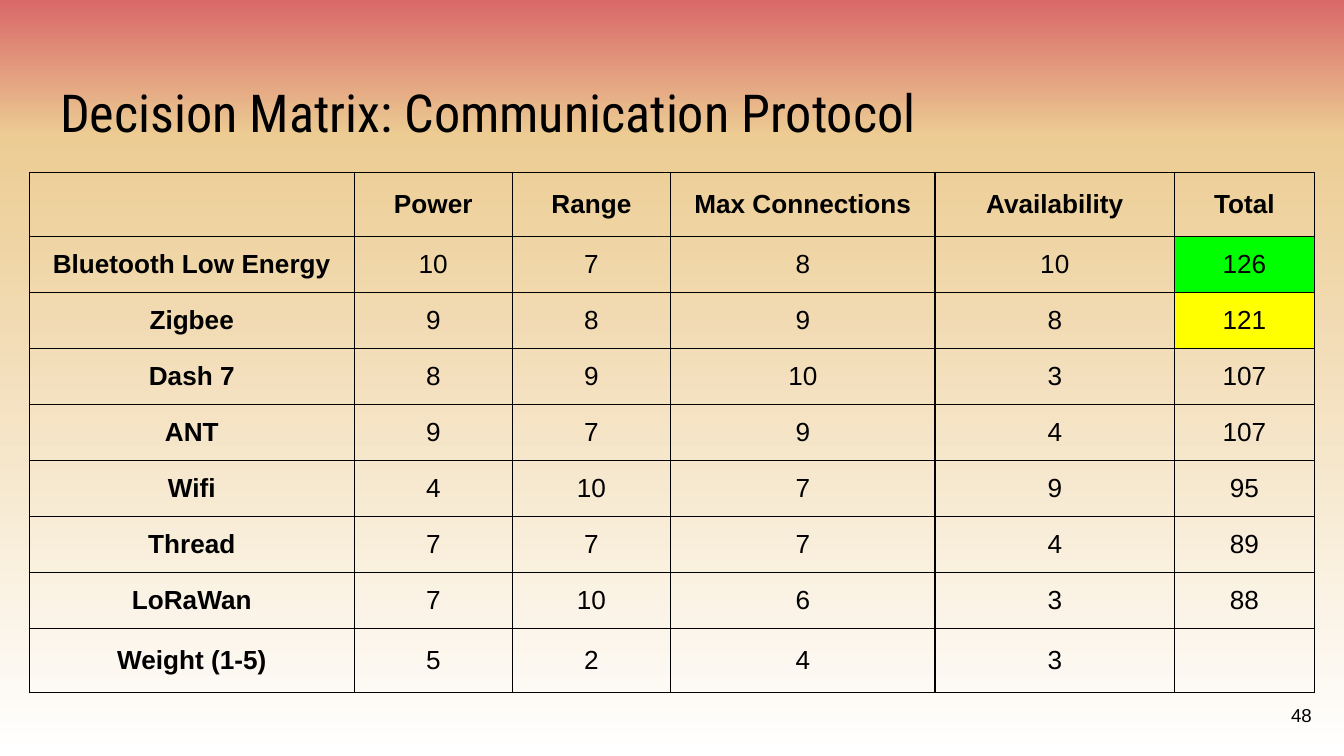
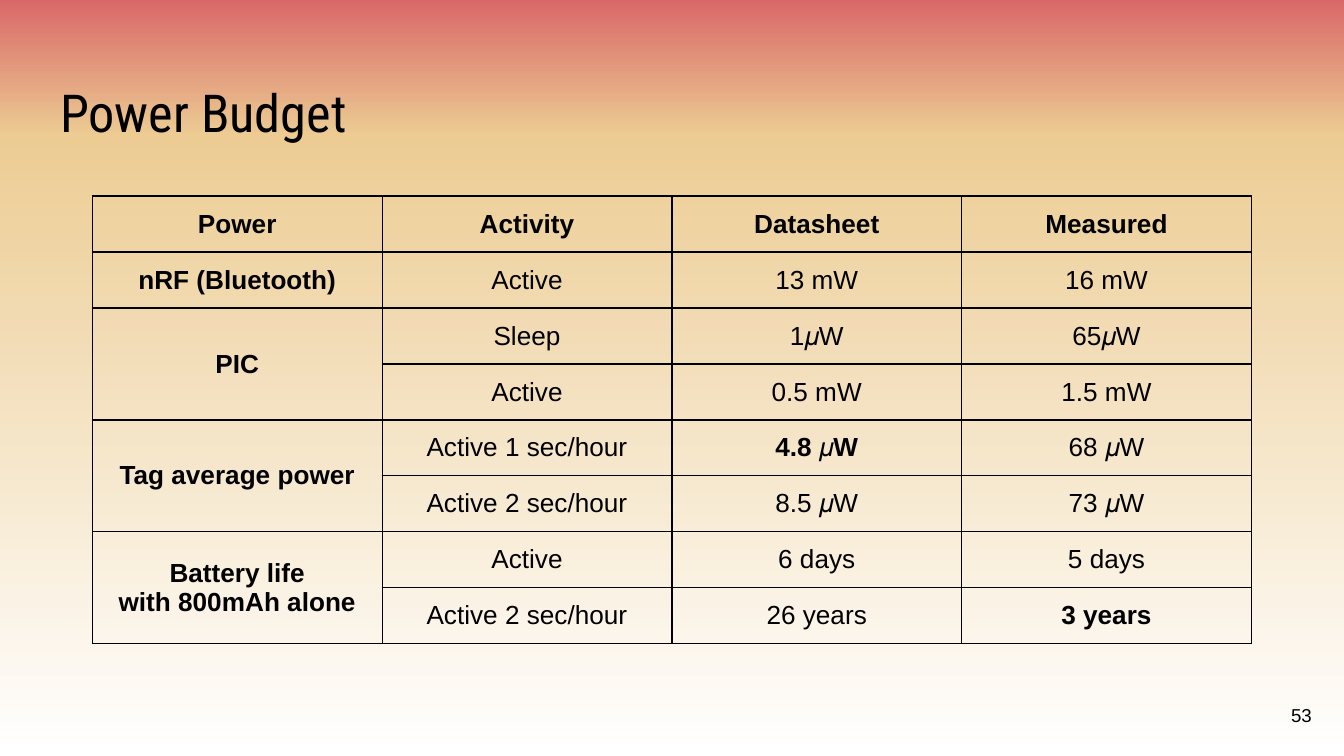
"""Build a decision matrix slide and a power budget slide."""
from lxml.etree import SubElement
from pptx import Presentation
from pptx.dml.color import RGBColor
from pptx.enum.text import MSO_ANCHOR, PP_ALIGN
from pptx.oxml.ns import qn
from pptx.util import Pt

PX = 9525
BLACK = RGBColor(0x00, 0x00, 0x00)
GREEN = RGBColor(0x00, 0xFF, 0x00)
YELLOW = RGBColor(0xFF, 0xFF, 0x00)
SKY = [
    (0, RGBColor(0xD9, 0x68, 0x68)),
    (18, RGBColor(0xEC, 0xCC, 0x93)),
    (100, RGBColor(0xFF, 0xFF, 0xFF)),
]

SLIDES = [
    {
        "title": "Decision Matrix: Communication Protocol",
        "number": "48",
        "corner": (21, 123),
        "columns": [232, 113, 113, 189, 171, 100],
        "heights": [46] + [40] * 7 + [46],
        "rows": [
            ["", "Power", "Range", "Max Connections", "Availability", "Total"],
            ["Bluetooth Low Energy", "10", "7", "8", "10", "126"],
            ["Zigbee", "9", "8", "9", "8", "121"],
            ["Dash 7", "8", "9", "10", "3", "107"],
            ["ANT", "9", "7", "9", "4", "107"],
            ["Wifi", "4", "10", "7", "9", "95"],
            ["Thread", "7", "7", "7", "4", "89"],
            ["LoRaWan", "7", "10", "6", "3", "88"],
            ["Weight (1-5)", "5", "2", "4", "3", ""],
        ],
        "fills": {(1, 5): GREEN, (2, 5): YELLOW},
        "bold": [],
    },
    {
        "title": "Power Budget",
        "number": "53",
        "corner": (66, 140),
        "columns": [207] * 4,
        "heights": [40] * 8,
        "rows": [
            ["Power", "Activity", "Datasheet", "Measured"],
            ["nRF (Bluetooth)", "Active", "13 mW", "16 mW"],
            ["PIC", "Sleep", "1𝜇W", "65𝜇W"],
            [None, "Active", "0.5 mW", "1.5 mW"],
            ["Tag average power", "Active 1 sec/hour", "4.8 𝜇W", "68 𝜇W"],
            [None, "Active 2 sec/hour", "8.5 𝜇W", "73 𝜇W"],
            ["Battery life\nwith 800mAh alone", "Active", "6 days", "5 days"],
            [None, "Active 2 sec/hour", "26 years", "3 years"],
        ],
        "fills": {},
        "bold": [(4, 2), (7, 3)],
    },
]


def write_text(holder, text, font, size, align, anchor, inset=10, bold=False):
    holder.margin_left = holder.margin_right = 10 * PX
    holder.margin_top = holder.margin_bottom = inset * PX
    holder.vertical_anchor = anchor
    frame = getattr(holder, "text_frame", holder)
    frame.word_wrap = True
    frame.text = text
    for para in frame.paragraphs:
        para.alignment = align
        para.font.name = font
        para.font.size = Pt(size)
        para.font.bold = bold
        para.font.color.rgb = BLACK


def add_borders(cell):
    properties = cell._tc.get_or_add_tcPr()
    for side in ("lnL", "lnR", "lnT", "lnB"):
        line = SubElement(properties, qn(f"a:{side}"), w=str(Pt(0.75)))
        paint = SubElement(line, qn("a:solidFill"))
        SubElement(paint, qn("a:srgbClr"), val=str(BLACK))


deck = Presentation()
deck.slide_width = 960 * PX
deck.slide_height = 540 * PX

backdrop = deck.slide_master.background.fill
backdrop.gradient()
backdrop.gradient_angle = 270
stops = deck.slide_master.element.find(".//" + qn("a:gsLst"))
stops.clear()
for percent, color in SKY:
    stop = SubElement(stops, qn("a:gs"), pos=str(percent * 1000))
    SubElement(stop, qn("a:srgbClr"), val=str(color))

for content in SLIDES:
    page = deck.slides.add_slide(deck.slide_layouts[6])

    title = page.shapes.add_textbox(33 * PX, 47 * PX, 895 * PX, 60 * PX)
    write_text(title.text_frame, content["title"], "Roboto Condensed", 28,
               PP_ALIGN.LEFT, MSO_ANCHOR.TOP)

    rows, columns, heights = content["rows"], content["columns"], content["heights"]
    left, top = content["corner"]
    table = page.shapes.add_table(len(rows), len(columns), left * PX, top * PX,
                                  sum(columns) * PX, sum(heights) * PX).table
    table.first_row = table.horz_banding = False
    for column, width in zip(table.columns, columns):
        column.width = width * PX
    for row, height in zip(table.rows, heights):
        row.height = height * PX

    for r, row in enumerate(rows):
        for c, text in enumerate(row):
            cell = table.cell(r, c)
            bold = r == 0 or c == 0 or (r, c) in content["bold"]
            write_text(cell, text or "", "Arial", 14, PP_ALIGN.CENTER,
                       MSO_ANCHOR.MIDDLE, 8, bold)
            add_borders(cell)
            if (r, c) in content["fills"]:
                cell.fill.solid()
                cell.fill.fore_color.rgb = content["fills"][r, c]
            else:
                cell.fill.background()
            if text is None:
                table.cell(r - 1, c).merge(cell)

    number = page.shapes.add_textbox(890 * PX, 490 * PX, 57 * PX, 41 * PX)
    write_text(number.text_frame, content["number"], "Arial", 10,
               PP_ALIGN.RIGHT, MSO_ANCHOR.MIDDLE)

deck.save("out.pptx")
